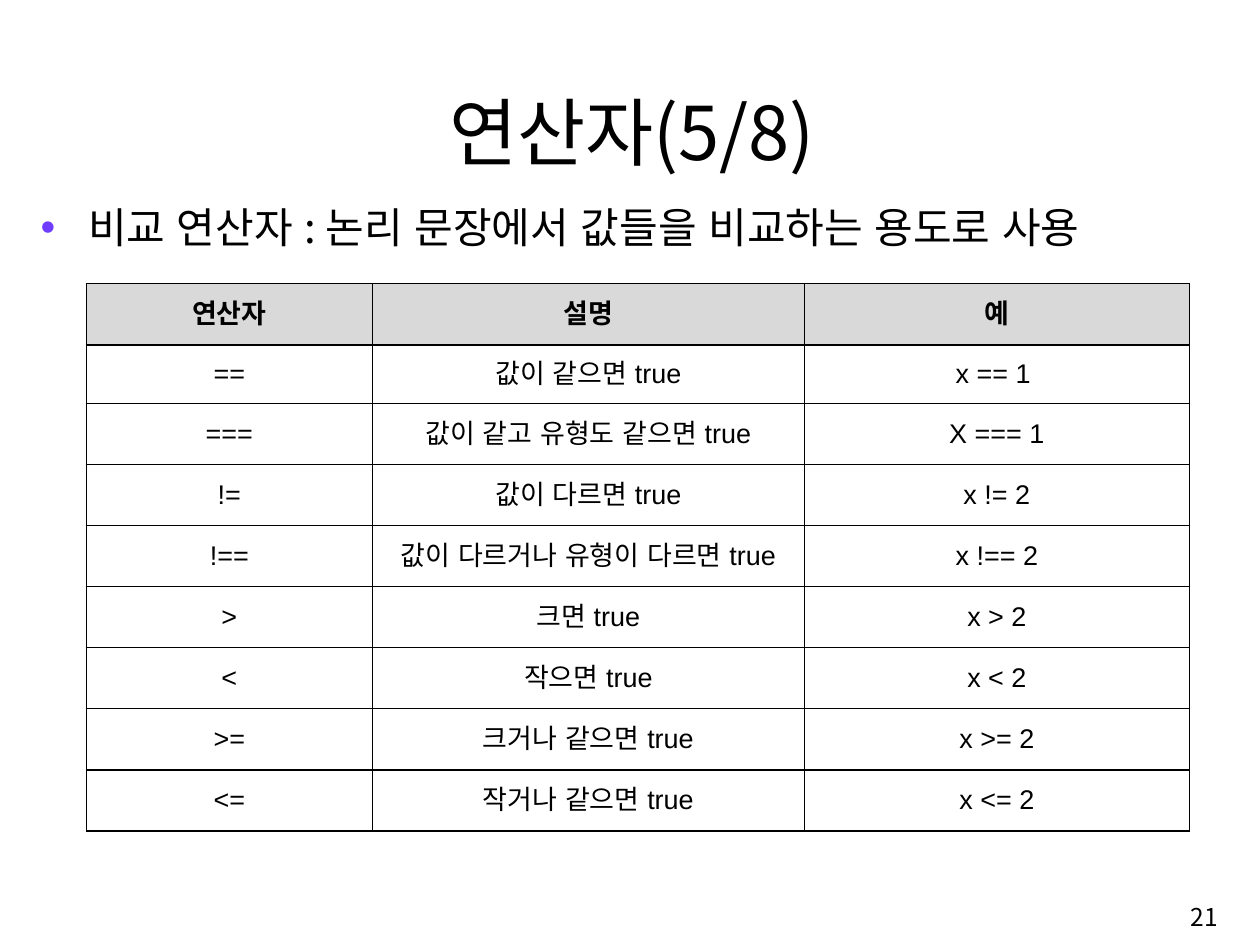
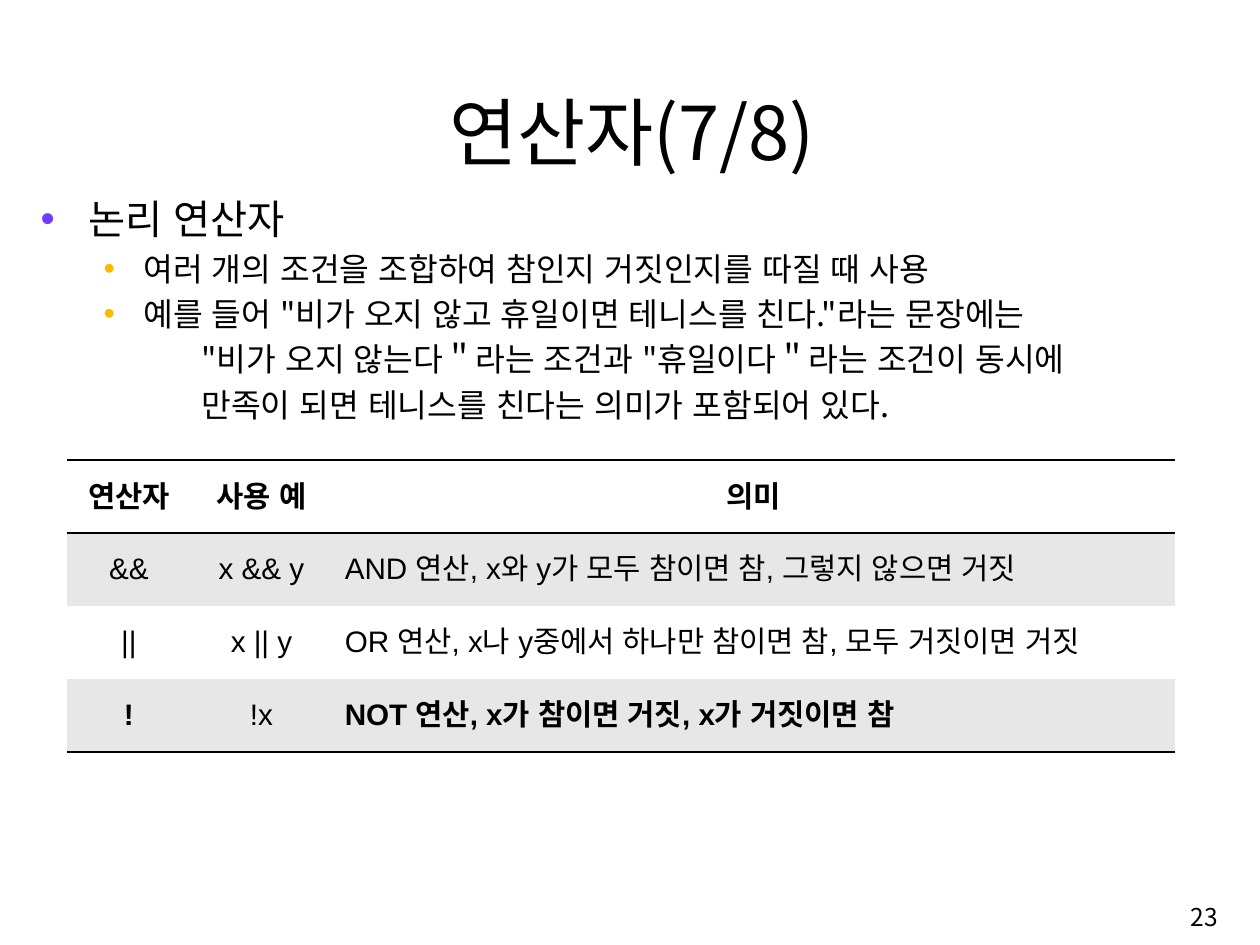
from dataclasses import dataclass

from lxml import etree
from pptx import Presentation
from pptx.dml.color import RGBColor
from pptx.enum import text
from pptx.oxml import ns
from pptx.util import Pt

SANS, EAST_ASIAN = "Noto Sans CJK KR", "Arial"
COLORS = {
    "ink": "000000",
    "paper": "FFFFFF",
    "header": "D9D9D9",
    "band": "E7E7E7",
    "bullet": "703DFF",
    "sub_bullet": "FFB800",
}
LEFT, CENTER, RIGHT = text.PP_ALIGN.LEFT, text.PP_ALIGN.CENTER, text.PP_ALIGN.RIGHT
TOP, MIDDLE, BOTTOM = text.MSO_ANCHOR.TOP, text.MSO_ANCHOR.MIDDLE, text.MSO_ANCHOR.BOTTOM
NO_STYLE = "{2D5ABB26-0587-4C30-8999-92F81FD0307C}"


@dataclass(frozen=True)
class ParaStyle:
    size: float
    level: int
    margin: float
    indent: float
    bullet: str | None = None


@dataclass(frozen=True)
class Item:
    words: str
    style: ParaStyle


@dataclass(frozen=True)
class Grid:
    left: float
    top: float
    widths: tuple[float, ...]
    heights: tuple[float, ...]
    size: float
    rows: tuple[tuple[str, ...], ...]
    aligns: tuple[text.PP_ALIGN, ...]
    header_fill: str
    band_fills: tuple[str, str]
    rules: frozenset[int]
    rule_width: float
    side_width: float = 0
    bold_cells: frozenset[tuple[int, int]] = frozenset()


@dataclass(frozen=True)
class Page:
    title: str
    number: str
    body_top: float
    items: tuple[Item, ...]
    grid: Grid


def write(p, words: str, *, size: float, font: str = SANS, bold: bool = False,
          color: str = "ink", align: text.PP_ALIGN = LEFT) -> None:
    p.alignment = align
    r = p.add_run()
    r.text = words
    r.font.size, r.font.name, r.font.bold = Pt(size), font, bold
    r.font.color.rgb = RGBColor.from_string(COLORS[color])
    etree.SubElement(r.font._element, ns.qn("a:ea"), typeface=EAST_ASIAN)


def set_frame(tf, anchor: text.MSO_ANCHOR) -> None:
    tf.word_wrap = True
    tf.auto_size = text.MSO_AUTO_SIZE.NONE
    tf.vertical_anchor = anchor


def add_title(s, words: str) -> None:
    sp = s.shapes.title
    sp.left, sp.top, sp.width, sp.height = Pt(87), Pt(56), Pt(764), Pt(78)
    set_frame(sp.text_frame, BOTTOM)
    write(sp.text_frame.paragraphs[0], words, size=55, align=CENTER)


def add_page_number(s, number: str) -> None:
    sp = s.shapes.add_textbox(Pt(718.3), Pt(658.5), Pt(193), Pt(43))
    set_frame(sp.text_frame, MIDDLE)
    write(sp.text_frame.paragraphs[0], number, size=18.2, align=RIGHT)


def set_indent(p, style: ParaStyle) -> None:
    """Apply the level, spacing, indents and bullet of a body paragraph."""
    p.level = style.level
    p.space_before = Pt(style.size * 0.2)
    pPr = p._p.get_or_add_pPr()
    pPr.set("marL", str(Pt(style.margin)))
    pPr.set("indent", str(Pt(style.indent)))
    if style.bullet:
        clr = etree.SubElement(pPr, ns.qn("a:buClr"))
        etree.SubElement(clr, ns.qn("a:srgbClr"), val=COLORS[style.bullet])
        etree.SubElement(pPr, ns.qn("a:buFont"), typeface="Arial")
        etree.SubElement(pPr, ns.qn("a:buChar"), char="•")
    else:
        etree.SubElement(pPr, ns.qn("a:buNone"))


def add_body(s, top: float, items: tuple[Item, ...]) -> None:
    sp = s.shapes.add_textbox(Pt(23), Pt(top), Pt(887), Pt(508))
    tf = sp.text_frame
    set_frame(tf, TOP)
    for i, item in enumerate(items):
        p = tf.add_paragraph() if i else tf.paragraphs[0]
        set_indent(p, item.style)
        write(p, item.words, size=item.style.size)


def set_border(cell, side: str, width: float) -> None:
    ln = etree.SubElement(cell._tc.get_or_add_tcPr(), ns.qn(f"a:ln{side}"), w=str(Pt(width)))
    if width:
        fill = etree.SubElement(ln, ns.qn("a:solidFill"))
        etree.SubElement(fill, ns.qn("a:srgbClr"), val=COLORS["ink"])
    else:
        etree.SubElement(ln, ns.qn("a:noFill"))


def add_grid(s, g: Grid) -> None:
    frame = s.shapes.add_table(len(g.rows), len(g.widths), Pt(g.left), Pt(g.top),
                               Pt(sum(g.widths)), Pt(sum(g.heights)))
    table = frame.table
    table.first_row = table.horz_banding = False
    table._tbl.tblPr.find(ns.qn("a:tableStyleId")).text = NO_STYLE
    for col, width in zip(table.columns, g.widths):
        col.width = Pt(width)
    for r, row in enumerate(g.rows):
        table.rows[r].height = Pt(g.heights[r])
        for c, words in enumerate(row):
            cell = table.cell(r, c)
            cell.margin_left = cell.margin_right = Pt(9.4)
            cell.margin_top = cell.margin_bottom = Pt(4.3)
            cell.vertical_anchor = MIDDLE
            for side in "LR":
                set_border(cell, side, g.side_width)
            for side, line in (("T", r), ("B", r + 1)):
                set_border(cell, side, g.rule_width if line in g.rules else 0)
            fill = g.band_fills[r % 2] if r else g.header_fill
            cell.fill.solid()
            cell.fill.fore_color.rgb = RGBColor.from_string(COLORS[fill])
            write(cell.text_frame.paragraphs[0], words, size=g.size, font="Arial",
                  bold=r == 0 or (r, c) in g.bold_cells,
                  align=g.aligns[c] if r else CENTER)


LEAD = ParaStyle(31.2, 0, 35.3, -35.3, "bullet")
TOPIC = ParaStyle(30, 0, 35.3, -35.3, "bullet")
POINT = ParaStyle(24, 1, 76.3, -29.5, "sub_bullet")
CONTINUED = ParaStyle(24, 1, 119.5, 0)

COMPARISON = Grid(
    left=64, top=210.7, widths=(212.5, 320.5, 286),
    heights=(45.3, 43.6) + (45.3,) * 7, size=20,
    rows=(
        ("연산자", "설명", "예"),
        ("==", "값이 같으면 true", "x == 1 "),
        ("===", "값이 같고 유형도 같으면 true", "X === 1"),
        ("!=", "값이 다르면 true", "x != 2"),
        ("!==", "값이 다르거나 유형이 다르면 true", "x !== 2"),
        (">", "크면 true", "x > 2"),
        ("<", "작으면 true", "x < 2"),
        (">=", "크거나 같으면 true", "x >= 2"),
        ("<=", "작거나 같으면 true", "x <= 2"),
    ),
    aligns=(CENTER, CENTER, CENTER),
    header_fill="header", band_fills=("paper", "paper"),
    rules=frozenset(range(10)), rule_width=1, side_width=1,
)
LOGIC = Grid(
    left=49.6, top=341.6, widths=(92, 105, 625.6), heights=(54.1,) * 4, size=22,
    rows=(
        ("연산자", "사용 예", "의미"),
        ("&&", "x && y", "AND 연산, x와 y가 모두 참이면 참, 그렇지 않으면 거짓"),
        ("||", "x || y", "OR 연산, x나 y중에서 하나만 참이면 참, 모두 거짓이면 거짓"),
        ("!", "!x", "NOT 연산, x가 참이면 거짓, x가 거짓이면 참"),
    ),
    aligns=(CENTER, CENTER, LEFT),
    header_fill="paper", band_fills=("paper", "band"),
    rules=frozenset({0, 1, 4}), rule_width=2,
    bold_cells=frozenset({(3, 0), (3, 2)}),
)
PAGES = (
    Page("연산자(5/8)", "21", 146, (
        Item("비교 연산자 : 논리 문장에서 값들을 비교하는 용도로 사용", LEAD),
    ), COMPARISON),
    Page("연산자(7/8)", "23", 140.4, (
        Item("논리 연산자", TOPIC),
        Item("여러 개의 조건을 조합하여 참인지 거짓인지를 따질 때 사용", POINT),
        Item('예를 들어 "비가 오지 않고 휴일이면 테니스를 친다."라는 문장에는', POINT),
        Item('"비가 오지 않는다＂라는 조건과 "휴일이다＂라는 조건이 동시에', CONTINUED),
        Item("만족이 되면 테니스를 친다는 의미가 포함되어 있다.", CONTINUED),
    ), LOGIC),
)


def main() -> None:
    prs = Presentation()
    prs.slide_width, prs.slide_height = Pt(935.3), Pt(701.3)
    for page in PAGES:
        s = prs.slides.add_slide(prs.slide_layouts[5])
        add_body(s, page.body_top, page.items)
        add_grid(s, page.grid)
        add_page_number(s, page.number)
        add_title(s, page.title)
    prs.save("out.pptx")


if __name__ == "__main__":
    main()
